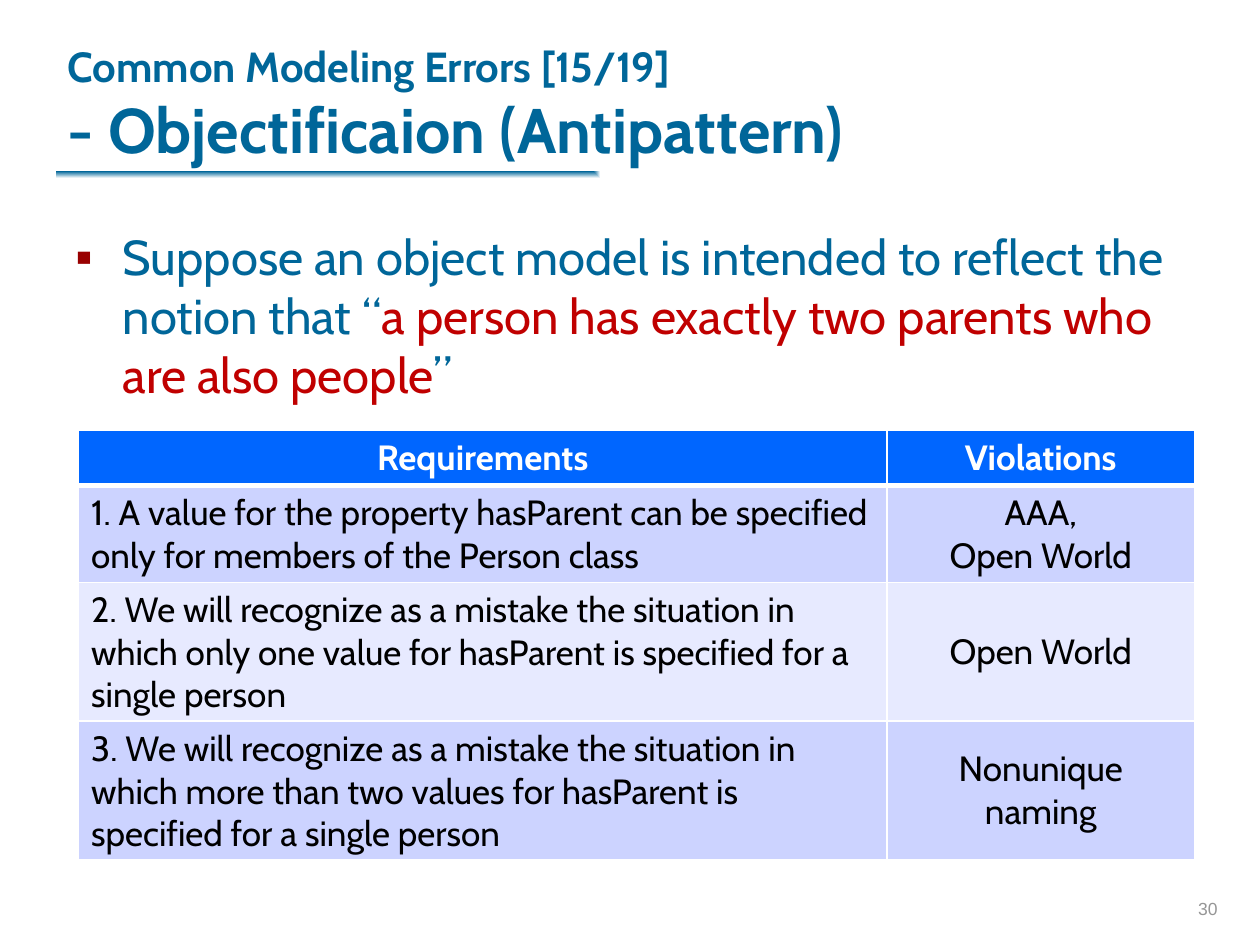
from lxml.etree import SubElement
from pptx import Presentation
from pptx.dml.color import RGBColor
from pptx.enum.shapes import MSO_SHAPE
from pptx.enum.text import MSO_ANCHOR, PP_ALIGN
from pptx.oxml import parse_xml
from pptx.oxml.ns import nsdecls, qn
from pptx.util import Pt

TEAL = RGBColor(0x00, 0x66, 0x99)
RED = RGBColor(0xC0, 0x00, 0x00)
BULLET_RED = RGBColor(0x99, 0x00, 0x00)
GRAY = RGBColor(0x96, 0x96, 0x96)
WHITE = RGBColor(0xFF, 0xFF, 0xFF)
BLACK = RGBColor(0x00, 0x00, 0x00)
HEADER_BLUE = RGBColor(0x00, 0x66, 0xFF)
BANDS = [RGBColor(0xCC, 0xD3, 0xFF), RGBColor(0xE7, 0xEA, 0xFF)]

TITLE_LINES = [("Common Modeling Errors [15/19]", 24), ("- Objectificaion (Antipattern)", 36)]
STATEMENT = [
    ("Suppose an object model is intended to reflect the notion that “", TEAL),
    ("a person has exactly two parents who are also people", RED),
    ("”", TEAL),
]
PAGE_NUMBER = "30"
ROWS = [
    ("Requirements", "Violations"),
    ("1. A value for the property hasParent can be specified only for members of the Person class",
     "AAA,\nOpen World"),
    ("2. We will recognize as a mistake the situation in which only one value for hasParent "
     "is specified for a single person", "Open World"),
    ("3. We will recognize as a mistake the situation in which more than two values for hasParent "
     "is specified for a single person", "Nonunique naming"),
]
COLUMN_WIDTHS = [462, 175.7]
ROW_HEIGHTS = [31.7, 55.4, 79.2, 79.2]


def set_font(font, color, **values):
    for name, value in {"name": "Cabin", **values}.items():
        setattr(font, name, value)
    font.color.rgb = color


def add_text_frame(slide, left, top, width, height, anchor):
    frame = slide.shapes.add_textbox(Pt(left), Pt(top), Pt(width), Pt(height)).text_frame
    frame.word_wrap = True
    frame.vertical_anchor = anchor
    return frame


def add_run(paragraph, text, color, **values):
    run = paragraph.add_run()
    run.text = text
    set_font(run.font, color, **values)


def add_rule(slide):
    rule = slide.shapes.add_shape(MSO_SHAPE.RECTANGLE, Pt(32.4), Pt(97.9), Pt(621.4), Pt(7.9))
    rule.shadow.inherit = False
    rule.line.fill.background()
    gradient = parse_xml(
        f'<a:gradFill {nsdecls("a")} rotWithShape="0"><a:gsLst>'
        f'<a:gs pos="0"><a:srgbClr val="{TEAL}"/></a:gs>'
        f'<a:gs pos="100000"><a:srgbClr val="{WHITE}"/></a:gs></a:gsLst>'
        '<a:path path="rect"><a:fillToRect r="100000" b="100000"/></a:path></a:gradFill>')
    rule.element.spPr.find(qn("a:prstGeom")).addnext(gradient)


def add_title(slide):
    paragraph = add_text_frame(slide, 31.7, 8.6, 612, 90, MSO_ANCHOR.BOTTOM).paragraphs[0]
    for index, (line, size) in enumerate(TITLE_LINES):
        if index:
            paragraph.add_line_break()
        add_run(paragraph, line, TEAL, size=Pt(size), bold=True)


def add_statement(slide):
    paragraph = add_text_frame(slide, 36, 126, 653.8, 351.4, MSO_ANCHOR.TOP).paragraphs[0]
    properties = paragraph._p.get_or_add_pPr()
    properties.set("marL", str(Pt(27)))
    properties.set("indent", str(-Pt(27)))
    bullet_color = SubElement(properties, qn("a:buClr"))
    SubElement(bullet_color, qn("a:srgbClr"), val=str(BULLET_RED))
    SubElement(properties, qn("a:buFont"), typeface="Arial")
    SubElement(properties, qn("a:buChar"), char="▪")
    for text, color in STATEMENT:
        add_run(paragraph, text, color, size=Pt(28))


def set_borders(cell, bottom_width):
    properties = cell._tc.get_or_add_tcPr()
    widths = {"a:lnL": 1, "a:lnR": 1, "a:lnT": 1, "a:lnB": bottom_width}
    for position, (side, width) in enumerate(widths.items()):
        line = parse_xml(
            f'<{side} {nsdecls("a")} w="{Pt(width)}"><a:solidFill>'
            f'<a:srgbClr val="{WHITE}"/></a:solidFill></{side}>')
        properties.insert(position, line)


def add_requirements(slide):
    table = slide.shapes.add_table(
        len(ROWS), len(COLUMN_WIDTHS), Pt(44.9), Pt(245.8),
        Pt(sum(COLUMN_WIDTHS)), Pt(sum(ROW_HEIGHTS))).table
    for column, width in zip(table.columns, COLUMN_WIDTHS):
        column.width = Pt(width)
    for r, (texts, height) in enumerate(zip(ROWS, ROW_HEIGHTS)):
        table.rows[r].height = Pt(height)
        header = r == 0
        for c, text in enumerate(texts):
            cell = table.cell(r, c)
            cell.text = text
            cell.vertical_anchor = MSO_ANCHOR.MIDDLE
            cell.fill.solid()
            cell.fill.fore_color.rgb = HEADER_BLUE if header else BANDS[(r - 1) % 2]
            set_borders(cell, 3 if header else 1)
            for paragraph in cell.text_frame.paragraphs:
                paragraph.alignment = PP_ALIGN.CENTER if header or c else PP_ALIGN.LEFT
                for run in paragraph.runs:
                    set_font(run.font, WHITE if header else BLACK, size=Pt(20), bold=header)


def add_page_number(slide):
    paragraph = add_text_frame(slide, 553, 492.5, 149.8, 36, MSO_ANCHOR.BOTTOM).paragraphs[0]
    paragraph.alignment = PP_ALIGN.RIGHT
    add_run(paragraph, PAGE_NUMBER, GRAY, name="Arial", size=Pt(10))


def main():
    presentation = Presentation()
    presentation.slide_width, presentation.slide_height = Pt(720), Pt(540)
    slide = presentation.slides.add_slide(presentation.slide_layouts[6])
    for add_part in (add_rule, add_statement, add_title, add_page_number, add_requirements):
        add_part(slide)
    presentation.save("out.pptx")


if __name__ == "__main__":
    main()
